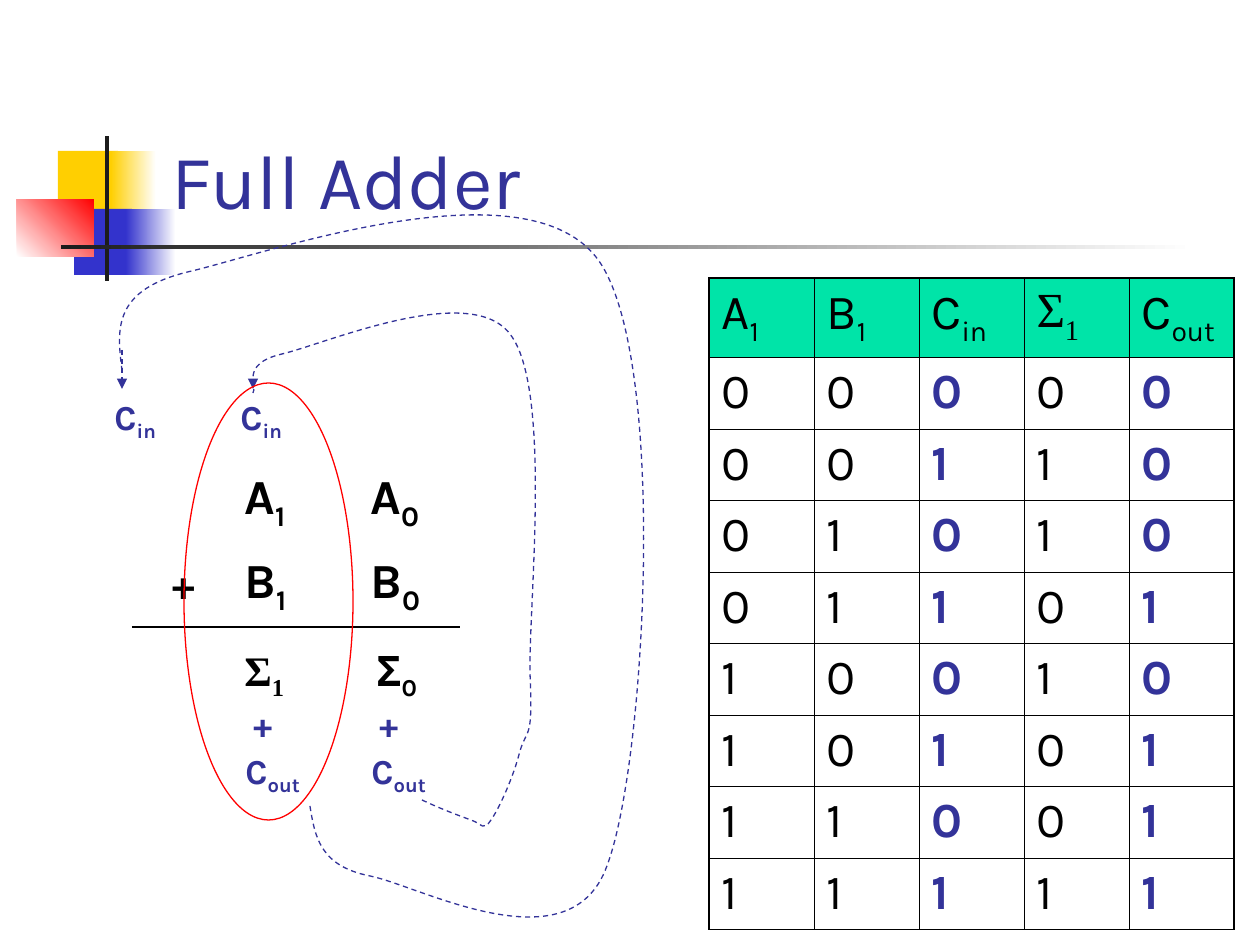
"""Build the Full Adder slide: carry diagram and truth table."""
import itertools

import pptx
import pptx.dml.color
import pptx.enum.dml
import pptx.enum.shapes
import pptx.enum.text
import pptx.oxml
import pptx.oxml.ns
import pptx.util

SCALE = 914400 / 126
SANS, SERIF = "Karla", "Times New Roman"
BLACK, WHITE, NAVY, GREEN = "000000", "FFFFFF", "333399", "00E4A8"
YELLOW, BLUE, RED, CHARCOAL = "FFCF01", "3333CC", "FF0000", "1C1C1C"
SHAPES = pptx.enum.shapes.MSO_SHAPE
qn = pptx.oxml.ns.qn

DECOR = [
    ((58, 151, 60, 66), [YELLOW], 0),
    ((111, 151, 45, 66), [YELLOW, WHITE], 0),
    ((74, 209, 58, 66), [BLUE], 0),
    ((126, 209, 50, 66), [BLUE, WHITE], 0),
    ((17, 199, 77, 58), [WHITE, RED], 45),
    ((105, 136, 4, 145), [CHARCOAL], 0),
    ((61, 245, 1134, 4), [CHARCOAL, WHITE], 0),
]
LABELS = [
    ((232, 459, 218, 79), "A_1\t_A_0", 28, BLACK, 0),
    ((232, 543, 218, 79), "B_1\t_B_0", 28, BLACK, 0),
    ((232, 638, 258, 71), "Σ_1\t _Σ_0", 24, BLACK, 2),
    ((241, 696, 208, 55), "+\t+", 20, NAVY, 0),
    ((233, 743, 258, 60), "C_out\t_C_out", 20, NAVY, 0),
    ((102, 389, 258, 60), "C_in\t_C_in", 20, NAVY, 0),
    ((160, 551, 79, 63), "+", 24, BLACK, 0),
]
FIRST_CARRY = [
    (422, 800), (441, 809), (460, 816), (471, 820), (483, 824), (483, 832),
    (491, 820), (499, 809), (514, 776), (520, 751), (528, 726), (533, 741),
    (530, 672), (529, 602), (552, 387), (510, 334), (470, 281), (325, 344),
    (282, 354), (239, 364), (258, 387), (253, 393),
]
SECOND_CARRY = [
    (310, 806), (315, 837), (320, 866), (370, 876), (420, 886), (570, 969),
    (607, 866), (646, 764), (668, 360), (599, 261), (529, 161), (271, 252),
    (192, 271), (112, 289), (117, 329), (122, 370),
]


def px(n):
    """Turn pixels into EMU."""
    return pptx.util.Emu(round(n * SCALE))


def rgb(color):
    """Turn a hex string into a colour."""
    return pptx.dml.color.RGBColor.from_string(color)


def add_xml(parent, xml):
    """Append a DrawingML element and return it."""
    el = pptx.oxml.parse_xml(xml.replace("/>", f" {pptx.oxml.ns.nsdecls('a')}/>", 1))
    parent.append(el)
    return el


def set_font(font, size, color, bold=False, name=SANS):
    """Format a font."""
    font.name, font.size, font.bold = name, pptx.util.Pt(size), bold
    font.color.rgb = rgb(color)


def fill_text(p, text):
    """Add runs to a paragraph; every second part between underscores is a subscript."""
    for i, part in enumerate(text.split("_")):
        r = p.add_run()
        r.text = part
        if i % 2:
            r.font._element.set("baseline", "-25000")


def style_line(line, color, dashed=False):
    """Format a thin line."""
    line.color.rgb = rgb(color)
    line.width = pptx.util.Pt(0.75)
    if dashed:
        line.dash_style = pptx.enum.dml.MSO_LINE.DASH


def add_block(slide, box, colors, angle):
    """Add a rectangle with a solid or two-colour gradient fill."""
    sp = slide.shapes.add_shape(SHAPES.RECTANGLE, *map(px, box))
    sp.shadow.inherit = False
    sp.line.fill.background()
    if len(colors) == 1:
        sp.fill.solid()
        sp.fill.fore_color.rgb = rgb(colors[0])
        return
    sp.fill.gradient()
    sp.fill.gradient_angle = angle
    for stop, color in zip(sp.fill.gradient_stops, colors):
        stop.color.rgb = rgb(color)


def add_label(slide, box, text, size, color, serif_runs):
    """Add a bold label with a tab stop at one inch."""
    tf = slide.shapes.add_textbox(*map(px, box)).text_frame
    tf.word_wrap = True
    tf.auto_size = pptx.enum.text.MSO_AUTO_SIZE.SHAPE_TO_FIT_TEXT
    p = tf.paragraphs[0]
    if "\t" in text:
        tabs = add_xml(p._p.get_or_add_pPr(), "<a:tabLst/>")
        add_xml(tabs, f'<a:tab pos="{px(126)}" algn="l"/>')
    set_font(p.font, size, color, True)
    fill_text(p, text)
    for r in p.runs[:serif_runs]:
        r.font.name = SERIF


def add_line(slide, start, end, color, arrow=False):
    """Add a straight line, dashed and with a head when it is an arrow."""
    cn = slide.shapes.add_connector(
        pptx.enum.shapes.MSO_CONNECTOR.STRAIGHT, *map(px, start + end))
    style_line(cn.line, color, arrow)
    if arrow:
        add_xml(cn.line._get_or_add_ln(), '<a:tailEnd type="triangle"/>')
    add_xml(cn._element.spPr, "<a:effectLst/>")


def add_curve(slide, points):
    """Add a dashed Bézier curve through groups of three control points."""
    builder = slide.shapes.build_freeform(*points[0], scale=SCALE)
    builder.add_line_segments(points[1:], close=False)
    sp = builder.convert_to_shape()
    sp.shadow.inherit = False
    sp.fill.background()
    style_line(sp.line, NAVY, True)
    segments = list(sp._element.iter(qn("a:lnTo")))
    for first, *rest in zip(*[iter(segments)] * 3):
        curve = add_xml(first.getparent(), "<a:cubicBezTo/>")
        for segment in (first, *rest):
            curve.append(segment[0])
            segment.getparent().remove(segment)


def add_ring(slide, box):
    """Add the red ellipse around the full adder column."""
    sp = slide.shapes.add_shape(SHAPES.OVAL, *map(px, box))
    sp.shadow.inherit = False
    sp.fill.background()
    style_line(sp.line, RED)


def set_borders(cell, outer):
    """Draw the cell borders, thicker on the sides named in outer."""
    tcPr = cell._tc.get_or_add_tcPr()
    for i, side in enumerate("LRTB"):
        width = pptx.util.Pt(1.08 if side in outer else 0.45)
        ln = add_xml(tcPr, f'<a:ln{side} w="{width}"/>')
        fill = add_xml(ln, "<a:solidFill/>")
        add_xml(fill, f'<a:srgbClr val="{BLACK}"/>')
        tcPr.insert(i, ln)


def add_truth_table(slide, box, head_height):
    """Add the truth table, working out sum and carry for all inputs."""
    rows = [["A_1", "B_1", "C_in", "Σ_1", "C_out"]]
    for bits in itertools.product((0, 1), repeat=3):
        rows.append([str(n) for n in (*bits, sum(bits) % 2, sum(bits) // 2)])
    last_row, last_col = len(rows) - 1, len(rows[0]) - 1
    frame = slide.shapes.add_table(len(rows), len(rows[0]), *map(px, box))
    table = frame.table
    table.first_row = table.horz_banding = False
    for i, row in enumerate(rows):
        height = head_height if i == 0 else (box[3] - head_height) / last_row
        table.rows[i].height = px(height)
        for j, text in enumerate(row):
            cell = table.cell(i, j)
            carry = i > 0 and j in (2, 4)
            p = cell.text_frame.paragraphs[0]
            set_font(p.font, 28, NAVY if carry else BLACK, carry,
                     SERIF if "Σ" in text else SANS)
            fill_text(p, text)
            if i == 0:
                cell.fill.solid()
                cell.fill.fore_color.rgb = rgb(GREEN)
            else:
                cell.fill.background()
            edges = {"L": j == 0, "R": j == last_col, "T": i == 0, "B": i == last_row}
            set_borders(cell, [side for side, on in edges.items() if on])


def set_title(slide, box, text):
    """Place and format the title."""
    sp = slide.shapes.title
    sp.left, sp.top, sp.width, sp.height = map(px, box)
    tf = sp.text_frame
    tf.vertical_anchor = pptx.enum.text.MSO_ANCHOR.BOTTOM
    p = tf.paragraphs[0]
    p.alignment = pptx.enum.text.PP_ALIGN.LEFT
    set_font(p.font, 44, NAVY)
    fill_text(p, text)


def main():
    """Build and save the slide."""
    prs = pptx.Presentation()
    prs.slide_width, prs.slide_height = px(1260), px(945)
    slide = prs.slides.add_slide(prs.slide_layouts[5])
    for block in DECOR:
        add_block(slide, *block)
    set_title(slide, (159, 29, 1074, 202), "Full Adder")
    for label in LABELS:
        add_label(slide, *label)
    add_line(slide, (132, 627), (460, 627), BLACK)
    add_curve(slide, FIRST_CARRY)
    add_line(slide, (253, 379), (253, 389), NAVY, arrow=True)
    add_curve(slide, SECOND_CARRY)
    add_line(slide, (122, 350), (122, 389), NAVY, arrow=True)
    add_ring(slide, (184, 383, 169, 437))
    add_truth_table(slide, (709, 278, 525, 651), 79)
    prs.save("out.pptx")


if __name__ == "__main__":
    main()
